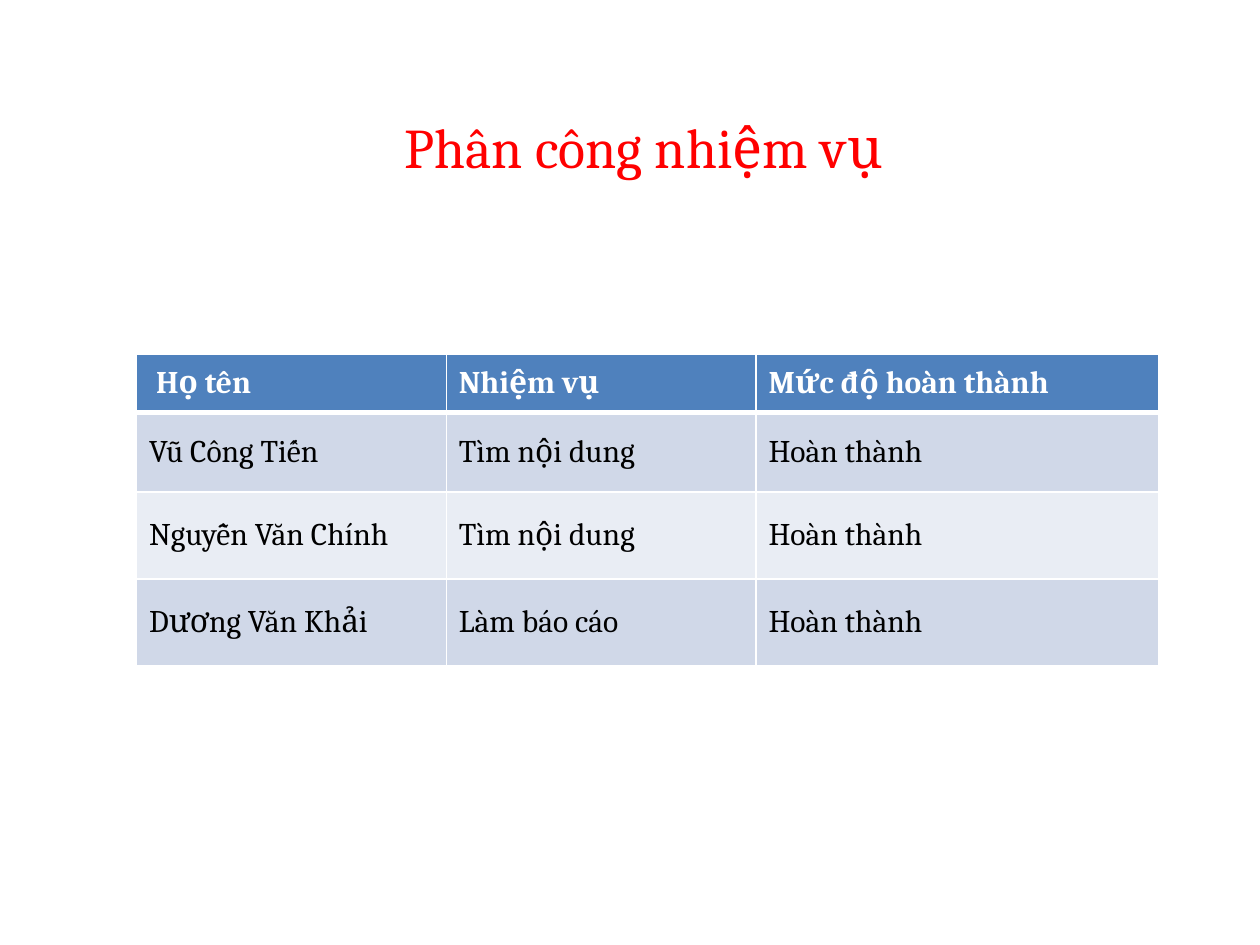
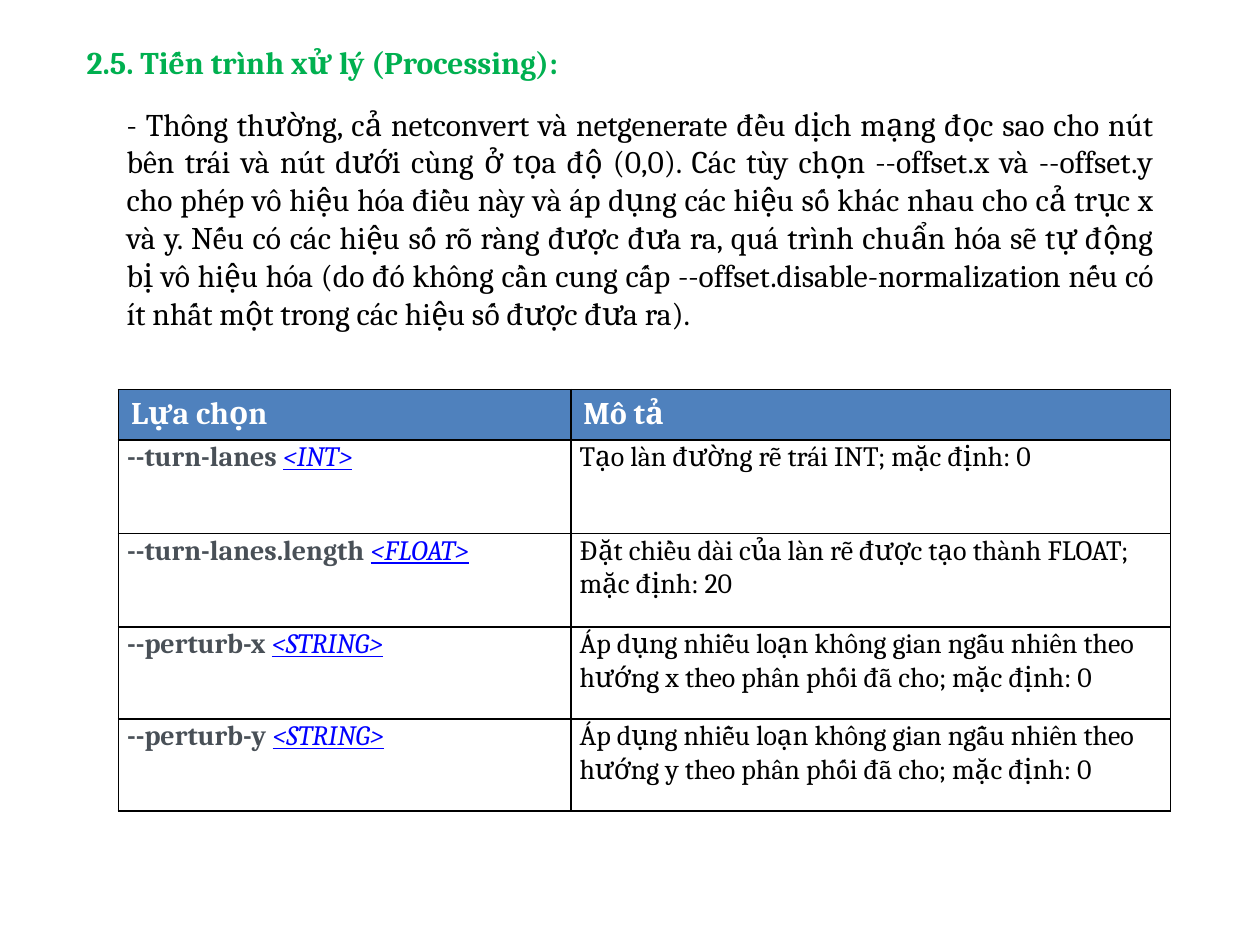
import dataclasses

import lxml.etree
import pptx
import pptx.dml.color
import pptx.enum.text
import pptx.oxml.ns
import pptx.util

Pt = pptx.util.Pt
qn = pptx.oxml.ns.qn
ANCHOR = pptx.enum.text.MSO_ANCHOR


@dataclasses.dataclass(frozen=True)
class Theme:
    font: str = "Cambria"
    title_size: int = 32
    text_size: int = 18
    option_size: int = 16
    white: str = "FFFFFF"
    black: str = "000000"
    title: str = "FF0000"
    heading: str = "00B050"
    header: str = "4F81BD"
    band_dark: str = "D0D8E8"
    band_light: str = "E9EDF4"
    option: str = "495057"
    value_type: str = "0000FF"


def rgb(value):
    return pptx.dml.color.RGBColor.from_string(value)


class Deck:
    def __init__(self, theme):
        self.theme = theme
        self.prs = pptx.Presentation()
        self.prs.slide_width, self.prs.slide_height = Pt(720), Pt(540)
        self.s = None

    def slide(self):
        self.s = self.prs.slides.add_slide(self.prs.slide_layouts[6])

    def style(self, font, size, color, bold=False):
        font.name, font.size, font.bold = self.theme.font, Pt(size), bold
        font.color.rgb = rgb(color)

    def text(self, box, text, size, color, bold=False, wrap=False, align=None):
        tf = self.s.shapes.add_textbox(*map(Pt, box)).text_frame
        tf.word_wrap = wrap
        tf.auto_size = pptx.enum.text.MSO_AUTO_SIZE.SHAPE_TO_FIT_TEXT
        p = tf.paragraphs[0]
        p.text, p.alignment = text, align
        self.style(p.font, size, color, bold)

    def table(self, left, top, widths, heights):
        sp = self.s.shapes.add_table(len(heights), len(widths), Pt(left), Pt(top),
                                     Pt(sum(widths)), Pt(sum(heights)))
        tbl = sp.table
        tbl.first_row = tbl.horz_banding = False
        for col, width in zip(tbl.columns, widths):
            col.width = Pt(width)
        for row, height in zip(tbl.rows, heights):
            row.height = Pt(height)
        return tbl

    def cell(self, cell, text, size, color, fill, line, bold=False,
             anchor=ANCHOR.TOP, top=1, bottom=1):
        cell.vertical_anchor = anchor
        cell.fill.solid()
        cell.fill.fore_color.rgb = rgb(fill)
        self.borders(cell, line, {"L": 1, "R": 1, "T": top, "B": bottom})
        p = cell.text_frame.paragraphs[0]
        p.text = text
        self.style(p.font, size, color, bold)
        return p

    def borders(self, cell, color, widths):
        tc_pr = cell._tc.get_or_add_tcPr()
        for i, (side, width) in enumerate(widths.items()):
            ln = lxml.etree.Element(qn(f"a:ln{side}"), w=str(Pt(width)))
            fill = lxml.etree.SubElement(ln, qn("a:solidFill"))
            lxml.etree.SubElement(fill, qn("a:srgbClr"), val=color)
            tc_pr.insert(i, ln)

    def option_cell(self, cell, text, value_type=None):
        t = self.theme
        cell.margin_left = cell.margin_right = Pt(5)
        cell.margin_top = cell.margin_bottom = Pt(0)
        color = t.option if value_type else t.black
        p = self.cell(cell, text, t.option_size, color, t.white, t.black,
                      bold=bool(value_type))
        p.line_spacing, p.space_after = 1.05, Pt(8)
        if value_type:
            r = p.add_run()
            r.text = value_type
            self.style(r.font, t.option_size, t.value_type)
            r.font.italic = r.font.underline = True


def assignment_slide(deck):
    t = deck.theme
    deck.slide()
    deck.text((224, 60.5, 293, 46), "Phân công nhiệm vụ", t.title_size, t.title)
    rows = [
        (" Họ tên", "Nhiệm vụ", "Mức độ hoàn thành"),
        ("Vũ Công Tiến", "Tìm nội dung", "Hoàn thành"),
        ("Nguyễn Văn Chính", "Tìm nội dung", "Hoàn thành"),
        ("Dương Văn Khải", "Làm báo cáo", "Hoàn thành"),
    ]
    tbl = deck.table(78, 202.3, (177, 177, 230.4), (33.5, 45.4, 49.7, 49.7))
    for i, row in enumerate(rows):
        head = i == 0
        band = t.band_dark if i % 2 else t.band_light
        for j, text in enumerate(row):
            deck.cell(tbl.cell(i, j), text, t.text_size,
                      t.white if head else t.black,
                      t.header if head else band, t.white, bold=head,
                      anchor=ANCHOR.MIDDLE, top=3 if i == 1 else 1,
                      bottom=3 if head else 1)


def processing_slide(deck):
    t = deck.theme
    deck.slide()
    deck.text((42.5, 21, 292.3, 29), "2.5. Tiến trình xử lý (Processing):",
              t.text_size, t.heading, bold=True)
    deck.text(
        (65.3, 56.2, 601, 138),
        "- Thông thường, cả netconvert và netgenerate đều dịch mạng đọc sao cho "
        "nút bên trái và nút dưới cùng ở tọa độ (0,0). Các tùy chọn --offset.x và "
        "--offset.y cho phép vô hiệu hóa điều này và áp dụng các hiệu số khác nhau "
        "cho cả trục x và y. Nếu có các hiệu số rõ ràng được đưa ra, quá trình "
        "chuẩn hóa sẽ tự động bị vô hiệu hóa (do đó không cần cung cấp "
        "--offset.disable-normalization nếu có ít nhất một trong các hiệu số được "
        "đưa ra).",
        t.text_size, t.black, wrap=True, align=pptx.enum.text.PP_ALIGN.JUSTIFY)
    options = [
        ("--turn-lanes", "<INT>", "Tạo làn đường rẽ trái INT; mặc định: 0"),
        ("--turn-lanes.length", "<FLOAT>",
         "Đặt chiều dài của làn rẽ được tạo thành FLOAT; mặc định: 20"),
    ] + [
        (f"--perturb-{axis}", "<STRING>",
         f"Áp dụng nhiễu loạn không gian ngẫu nhiên theo hướng {axis} "
         "theo phân phối đã cho; mặc định: 0")
        for axis in "xy"
    ]
    tbl = deck.table(67.7, 222.6, (258.5, 342.7), (28.5, 53.4, 53.4, 52.6, 52.6))
    for j, text in enumerate(("Lựa chọn", "Mô tả")):
        deck.cell(tbl.cell(0, j), text, t.text_size, t.white, t.header, t.black,
                  bold=True)
    for i, (option, value_type, description) in enumerate(options, 1):
        deck.option_cell(tbl.cell(i, 0), option + " ", value_type)
        deck.option_cell(tbl.cell(i, 1), description)


def main():
    deck = Deck(Theme())
    assignment_slide(deck)
    processing_slide(deck)
    deck.prs.save("out.pptx")


if __name__ == "__main__":
    main()
